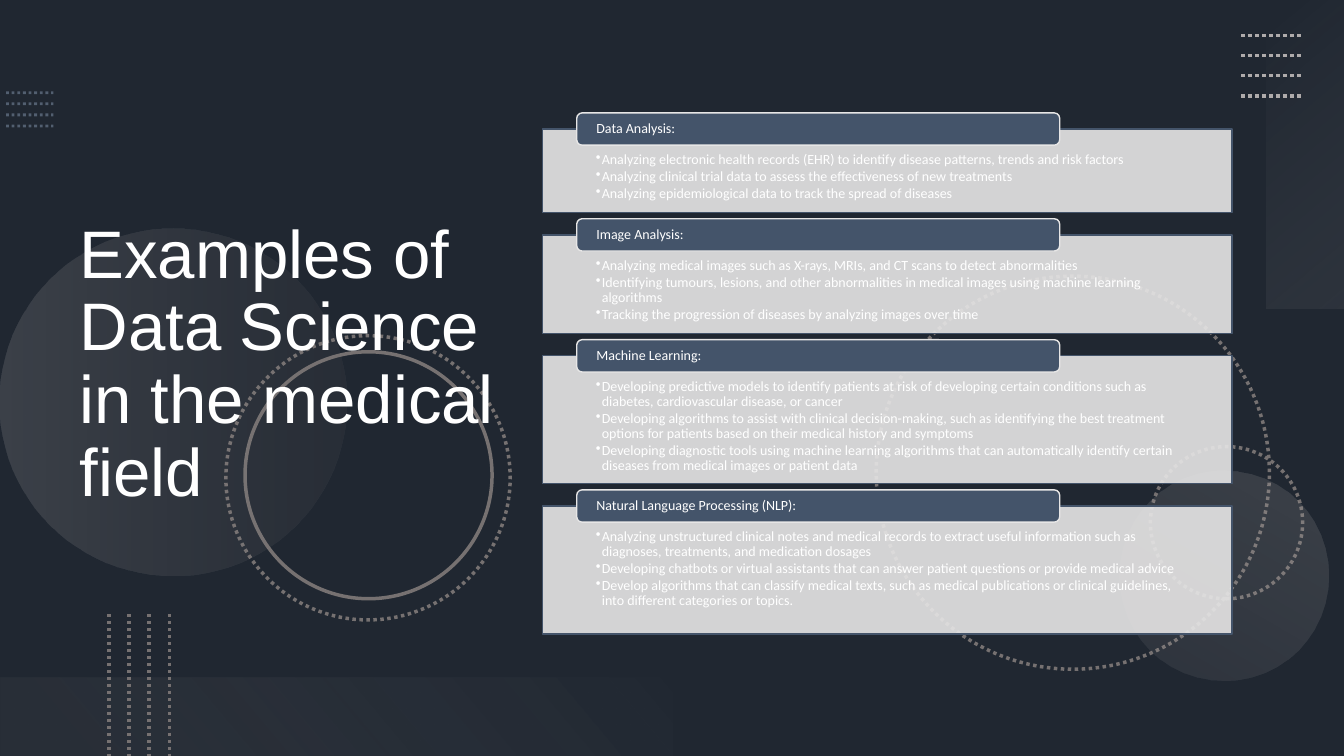
from lxml.etree import SubElement
from pptx import Presentation
from pptx.dml.color import RGBColor
from pptx.enum.dml import MSO_LINE
from pptx.enum.shapes import MSO_CONNECTOR, MSO_SHAPE
from pptx.enum.text import MSO_ANCHOR, PP_ALIGN
from pptx.oxml import parse_xml
from pptx.oxml.ns import nsdecls, qn
from pptx.util import Inches, Pt

COLORS = {
    "slate": "44546A", "black": "000000", "white": "FFFFFF", "panel": "E7E6E6",
    "blue": "8497B0", "gray": "767171", "silver": "AFABAB",
    "pale": "F5F5F5", "mist": "F1F0F0",
}


def color(name):
    return RGBColor.from_string(COLORS[name])


def set_alpha(shape, percent):
    """Make the first colour of a shape or connector partly transparent."""
    first_color = shape._element.xpath(".//a:srgbClr")[0]
    SubElement(first_color, qn("a:alpha")).set("val", str(percent * 1000))


deck = Presentation()
deck.slide_width, deck.slide_height = Inches(13.33), Inches(7.5)
page = deck.slides.add_slide(deck.slide_layouts[6])
page.background.fill.solid()
page.background.fill.fore_color.rgb = color("slate")

# Dark veil over the background
veil = page.shapes.add_shape(MSO_SHAPE.RECTANGLE, 0, 0, deck.slide_width, deck.slide_height)
veil.shadow.inherit = False
veil.fill.solid()
veil.fill.fore_color.rgb = color("black")
set_alpha(veil, 53)
veil.line.fill.background()

# Ring outlines: left, top, diameter, rotation, dotted
rings = [
    (8.69, 2.74, 3.9, 75, True),
    (11.41, 4.43, 1.51, 270, True),
    (2.24, 3.33, 2.82, 75, True),
    (2.43, 3.49, 2.45, 75, False),
]
for left, top, diameter, rotation, dotted in rings:
    ring = page.shapes.add_shape(
        MSO_SHAPE.OVAL, Inches(left), Inches(top), Inches(diameter), Inches(diameter))
    ring.shadow.inherit = False
    ring.rotation = rotation
    ring.fill.background()
    ring.line.color.rgb = color("gray")
    ring.line.width = Pt(2.5)
    if dotted:
        ring.line.dash_style = MSO_LINE.ROUND_DOT

# Gradient shapes: kind, box, rotation, gradient angle, stops (position, colour, alpha)
glows = [
    (MSO_SHAPE.OVAL, (0, 2.27, 3.44, 3.44), 270, 90,
     [(0, "silver", 20), (100, "gray", 10)]),
    (MSO_SHAPE.OVAL, (11.1, 4.67, 2.08, 2.08), 210, 90,
     [(0, "silver", 10), (100, "silver", 20)]),
    (MSO_SHAPE.RECTANGLE, (11.42, 1.14, 3.06, 0.78), 270, 140,
     [(0, "pale", 0), (100, "silver", 10)]),
    (MSO_SHAPE.RECTANGLE, (0, 6.72, 6.67, 0.78), 180, 140,
     [(10, "gray", 10), (100, "mist", 0)]),
]
for kind, bounds, rotation, angle, stops in glows:
    glow = page.shapes.add_shape(kind, *[Inches(length) for length in bounds])
    glow.shadow.inherit = False
    glow.rotation = rotation
    glow.line.fill.background()
    stop_xml = "".join(
        f'<a:gs pos="{position * 1000}"><a:srgbClr val="{COLORS[name]}">'
        f'<a:alpha val="{alpha * 1000}"/></a:srgbClr></a:gs>'
        for position, name, alpha in stops)
    gradient = parse_xml(
        f'<a:gradFill {nsdecls("a")} rotWithShape="1"><a:gsLst>{stop_xml}</a:gsLst>'
        f'<a:lin ang="{angle * 60000}" scaled="0"/></a:gradFill>')
    glow._element.spPr.find(qn("a:prstGeom")).addnext(gradient)

# Dotted line sets: first line, step across, step down, colour, width, alpha
dot_sets = [
    ((0.06, 0.92, 0.53, 0.92), 0, 0.11, "blue", 2, 50),
    ((12.31, 0.35, 12.91, 0.35), 0, 0.2, "silver", 2.5, 100),
    ((1.08, 6.09, 1.08, 7.5), 0.2, 0, "gray", 2.5, 100),
]
for (x1, y1, x2, y2), across, down, name, width, alpha in dot_sets:
    for index in range(4):
        dots = page.shapes.add_connector(
            MSO_CONNECTOR.STRAIGHT,
            Inches(x1 + index * across), Inches(y1 + index * down),
            Inches(x2 + index * across), Inches(y2 + index * down))
        dots.line.color.rgb = color(name)
        dots.line.width = Pt(width)
        dots.line.dash_style = MSO_LINE.ROUND_DOT
        if alpha < 100:
            set_alpha(dots, alpha)
        SubElement(dots._element.spPr, qn("a:effectLst"))

# Title
title = page.shapes.add_textbox(Inches(0.69), Inches(0.54), Inches(4.59), Inches(6.17))
title.text_frame.word_wrap = True
title.text_frame.vertical_anchor = MSO_ANCHOR.MIDDLE
para = title.text_frame.paragraphs[0]
para.line_spacing = 0.9
span = para.add_run()
span.text = "Examples of Data Science in the medical field"
span.font.name, span.font.size = "Arial", Pt(48)
span.font.color.rgb = color("white")

# Topic panels, each with a header tab on its top edge
topics = [
    ("Data Analysis:", 0.83, [
        "Analyzing electronic health records (EHR) to identify disease patterns, trends and risk factors",
        "Analyzing clinical trial data to assess the effectiveness of new treatments",
        "Analyzing epidemiological data to track the spread of diseases"]),
    ("Image Analysis:", 0.98, [
        "Analyzing medical images such as X-rays, MRIs, and CT scans to detect abnormalities",
        "Identifying tumours, lesions, and other abnormalities in medical images using machine learning algorithms",
        "Tracking the progression of diseases by analyzing images over time"]),
    ("Machine Learning:", 1.27, [
        "Developing predictive models to identify patients at risk of developing certain conditions such as diabetes, cardiovascular disease, or cancer",
        "Developing algorithms to assist with clinical decision-making, such as identifying the best treatment options for patients based on their medical history and symptoms",
        "Developing diagnostic tools using machine learning algorithms that can automatically identify certain diseases from medical images or patient data"]),
    ("Natural Language Processing (NLP):", 1.27, [
        "Analyzing unstructured clinical notes and medical records to extract useful information such as diagnoses, treatments, and medication dosages",
        "Developing chatbots or virtual assistants that can answer patient questions or provide medical advice",
        "Develop algorithms that can classify medical texts, such as medical publications or clinical guidelines, into different categories or topics."]),
]
panel_top, panel_gap = 1.28, 0.22
for heading, height, points in topics:
    panel = page.shapes.add_shape(
        MSO_SHAPE.RECTANGLE, Inches(5.38), Inches(panel_top), Inches(6.84), Inches(height))
    header = page.shapes.add_shape(
        MSO_SHAPE.ROUNDED_RECTANGLE,
        Inches(5.72), Inches(panel_top - 0.16), Inches(4.79), Inches(0.32))
    parts = [
        (panel, "panel", "slate", points, (0.53, 0.23, 0.08), MSO_ANCHOR.TOP),
        (header, "slate", "panel", [heading], (0.18, 0, 0), MSO_ANCHOR.MIDDLE),
    ]
    for box, fill_name, line_name, texts, (side, above, below), anchor in parts:
        box.shadow.inherit = False
        box.fill.solid()
        box.fill.fore_color.rgb = color(fill_name)
        box.line.color.rgb = color(line_name)
        box.line.width = Pt(1)
        frame = box.text_frame
        frame.word_wrap = True
        frame.vertical_anchor = anchor
        frame.margin_left = frame.margin_right = Inches(side)
        frame.margin_top, frame.margin_bottom = Inches(above), Inches(below)
        for index, text in enumerate(texts):
            para = frame.add_paragraph() if index else frame.paragraphs[0]
            para.alignment = PP_ALIGN.LEFT
            para.line_spacing = 0.9
            if box is panel:
                para.level = 1
                para.space_after = Pt(1.3)
                properties = para._p.get_or_add_pPr()
                properties.set("marL", str(Inches(0.06)))
                properties.set("indent", str(Inches(-0.06)))
                SubElement(properties, qn("a:buChar")).set("char", "•")
            span = para.add_run()
            span.text = text
            span.font.name, span.font.size = "Calibri", Pt(10)
            span.font.color.rgb = color("white")
    set_alpha(panel, 90)
    panel_top += height + panel_gap

deck.save("out.pptx")
